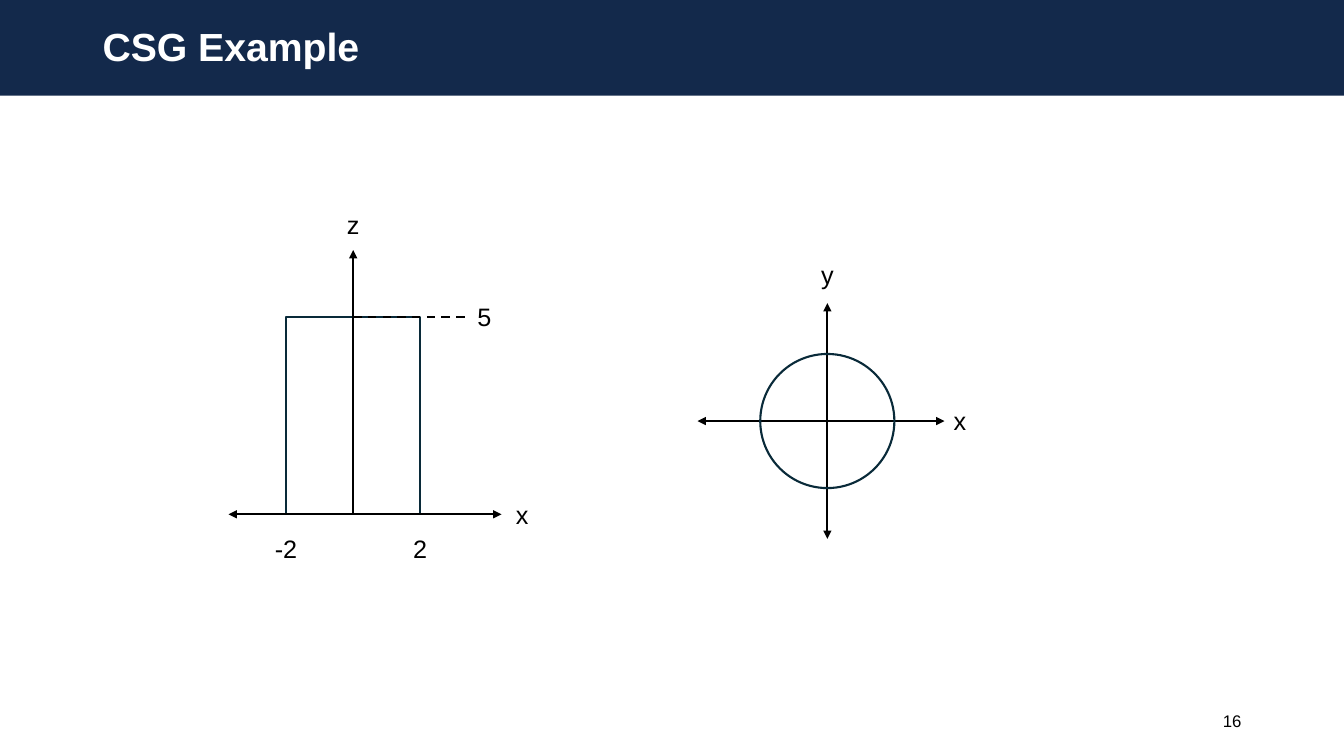
from dataclasses import dataclass

from lxml.etree import SubElement
from pptx import Presentation
from pptx.dml.color import RGBColor
from pptx.enum.dml import MSO_LINE
from pptx.enum.shapes import MSO_CONNECTOR, MSO_SHAPE as Preset
from pptx.enum.text import MSO_ANCHOR as Anchor, MSO_AUTO_SIZE, PP_ALIGN as Align
from pptx.oxml.ns import qn
from pptx.util import Cm, Pt


@dataclass(frozen=True)
class Theme:
    font: str = "Arial"
    banner: RGBColor = RGBColor(0x13, 0x29, 0x4B)
    outline: RGBColor = RGBColor(0x09, 0x2A, 0x39)
    ink: RGBColor = RGBColor(0, 0, 0)
    paper: RGBColor = RGBColor(0xFF, 0xFF, 0xFF)
    title_size: Pt = Pt(28)
    label_size: Pt = Pt(18)
    number_size: Pt = Pt(12)
    stroke: Pt = Pt(1.5)


THEME = Theme()
SLIDE_WIDTH, SLIDE_HEIGHT = 33.87, 19.05
BANNER_HEIGHT = 2.41
RADIUS = 1.69
CYLINDER_HEIGHT = 4.98


def write(frame, text, size, color, align, bold=False):
    frame.text = text
    paragraph = frame.paragraphs[0]
    paragraph.alignment = align
    font = paragraph.runs[0].font
    font.name, font.size, font.bold = THEME.font, size, bold
    font.color.rgb = color


def add_outline(slide, preset, left, top, width, height, fill=None, line=None):
    """Add a preset shape; no fill or no line where none is given."""
    shape = slide.shapes.add_shape(preset, Cm(left), Cm(top), Cm(width), Cm(height))
    shape.shadow.inherit = False
    if fill is None:
        shape.fill.background()
    else:
        shape.fill.solid()
        shape.fill.fore_color.rgb = fill
    if line is None:
        shape.line.fill.background()
    else:
        shape.line.color.rgb = line
        shape.line.width = THEME.stroke
    return shape


def add_line(slide, start, end, arrows=(), dashed=False):
    """Join two points; arrows may hold headEnd (start) and tailEnd (end)."""
    connector = slide.shapes.add_connector(
        MSO_CONNECTOR.STRAIGHT, *(Cm(value) for value in (*start, *end)))
    connector.line.color.rgb = THEME.ink
    connector.line.width = THEME.stroke
    if dashed:
        connector.line.dash_style = MSO_LINE.DASH
    properties = connector._element.spPr
    for arrow in arrows:
        SubElement(properties.find(qn("a:ln")), qn(f"a:{arrow}"), type="triangle")
    SubElement(properties, qn("a:effectLst"))


def add_label(slide, text, center_x, center_y):
    """Centre a one-line label on a point, in a box as wide as its text needs."""
    width, height = 0.5 + 0.36 * len(text), 1.02
    box = slide.shapes.add_textbox(Cm(center_x - width / 2), Cm(center_y - height / 2),
                                   Cm(width), Cm(height))
    box.text_frame.word_wrap = False
    box.text_frame.auto_size = MSO_AUTO_SIZE.SHAPE_TO_FIT_TEXT
    write(box.text_frame, text, THEME.label_size, THEME.ink, Align.CENTER)


def add_title(slide, text):
    title = slide.shapes.title
    banner = add_outline(slide, Preset.RECTANGLE, 0, 0, SLIDE_WIDTH, BANNER_HEIGHT,
                         fill=THEME.banner)
    title._element.addprevious(banner._element)
    title.left, title.top, title.width, title.height = Cm(2.33), Cm(0.05), Cm(29.21), Cm(2.36)
    title.text_frame.vertical_anchor = Anchor.MIDDLE
    write(title.text_frame, text, THEME.title_size, THEME.paper, Align.LEFT, bold=True)
    title.text_frame.paragraphs[0].line_spacing = 0.9


def add_page_number(slide, number):
    box = slide.shapes.add_textbox(Cm(23.92), Cm(17.66), Cm(7.62), Cm(1.01))
    box.text_frame.word_wrap = True
    box.text_frame.vertical_anchor = Anchor.MIDDLE
    write(box.text_frame, number, THEME.number_size, THEME.ink, Align.RIGHT)


def draw_side_view(slide, x, base):
    """Draw the cylinder in the x-z plane, with its origin at (x, base)."""
    top = base - CYLINDER_HEIGHT
    add_outline(slide, Preset.RECTANGLE, x - RADIUS, top, 2 * RADIUS, CYLINDER_HEIGHT,
                fill=THEME.paper, line=THEME.outline)
    add_line(slide, (x, base), (x, base - 6.66), ["tailEnd"])
    add_line(slide, (x - 3.14, base), (x + 3.74, base), ["headEnd", "tailEnd"])
    add_line(slide, (x, top), (x + 2.88, top), dashed=True)
    add_label(slide, "z", x, base - 7.3)
    add_label(slide, "x", x + 4.26, base)
    add_label(slide, "5", x + 3.31, top)
    for text, side in (("-2", -1), ("2", 1)):
        add_label(slide, text, x + side * RADIUS, base + 0.87)


def draw_top_view(slide, x, y):
    """Draw the cylinder in the x-y plane, with its origin at (x, y)."""
    both_ends = ["headEnd", "tailEnd"]
    add_line(slide, (x - 3.27, y), (x + 2.95, y), both_ends)
    add_line(slide, (x, y + 2.97), (x, y - 2.97), both_ends)
    add_outline(slide, Preset.OVAL, x - RADIUS, y - RADIUS, 2 * RADIUS, 2 * RADIUS,
                line=THEME.outline)
    add_label(slide, "x", x + 3.34, y)
    add_label(slide, "y", x, y - 3.7)


def main():
    deck = Presentation()
    deck.slide_width, deck.slide_height = Cm(SLIDE_WIDTH), Cm(SLIDE_HEIGHT)
    slide = deck.slides.add_slide(deck.slide_layouts.get_by_name("Title Only"))
    add_title(slide, "CSG Example")
    draw_side_view(slide, 8.9, 12.96)
    draw_top_view(slide, 20.85, 10.61)
    add_page_number(slide, "16")
    deck.save("out.pptx")


if __name__ == "__main__":
    main()
